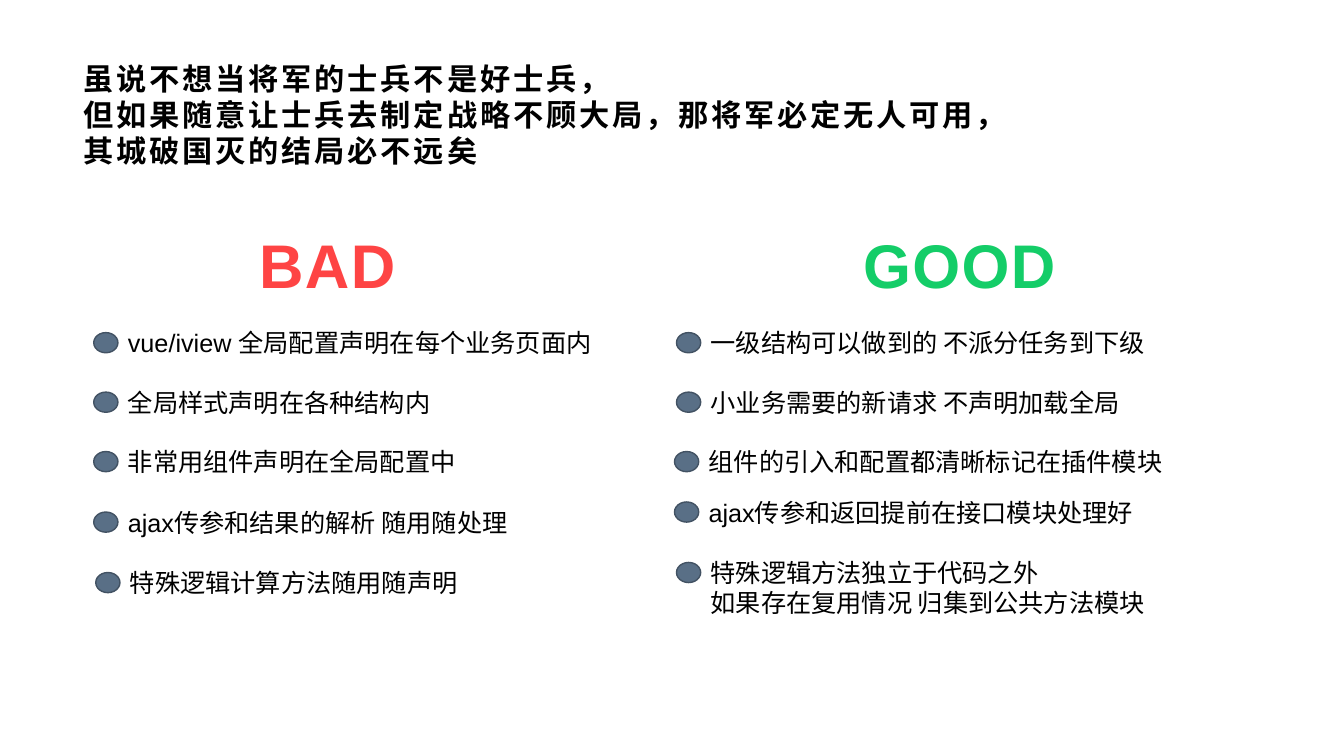
from dataclasses import dataclass

from pptx import Presentation
from pptx import util as u
from pptx.dml.color import RGBColor
from pptx.enum import shapes, text

PX = 9144  # EMU per px, at 100 px to the inch


@dataclass(frozen=True)
class Theme:
    font: str = "Arial"
    ink: str = "000000"
    bad: str = "FE4444"
    good: str = "14CD68"
    dot: str = "596F86"
    dot_line: str = "425263"
    title_size: float = 21.6
    heading_size: int = 44
    item_size: int = 18


@dataclass(frozen=True)
class Item:
    left: int
    top: int
    width: int
    lines: tuple[str, ...]


@dataclass(frozen=True)
class Column:
    heading: str
    color: str
    left: int
    width: int
    items: tuple[Item, ...]


THEME = Theme()
DOT_W, DOT_H, DOT_DROP = 24, 20, 10
HEADING_TOP, HEADING_H = 213, 97
LINE_H, ITEM_PAD = 31, 9

TITLE = ("虽说不想当将军的士兵不是好士兵，\v"
         "但如果随意让士兵去制定战略不顾大局，那将军必定无人可用，\v"
         "其城破国灭的结局必不远矣")

COLUMNS = (
    Column("BAD", THEME.bad, 252, 152, (
        Item(117, 320, 485, ("vue/iview 全局配置声明在每个业务页面内",)),
        Item(117, 379, 485, ("全局样式声明在各种结构内",)),
        Item(117, 438, 485, ("非常用组件声明在全局配置中",)),
        Item(117, 498, 506, ("ajax传参和结果的解析 随用随处理",)),
        Item(119, 558, 506, ("特殊逻辑计算方法随用随声明",)),
    )),
    Column("GOOD", THEME.good, 851, 203, (
        Item(695, 320, 572, ("一级结构可以做到的 不派分任务到下级",)),
        Item(695, 379, 506, ("小业务需要的新请求 不声明加载全局",)),
        Item(693, 438, 506, ("组件的引入和配置都清晰标记在插件模块",)),
        Item(693, 488, 506, ("ajax传参和返回提前在接口模块处理好",)),
        Item(695, 548, 506, ("特殊逻辑方法独立于代码之外",
                             "如果存在复用情况 归集到公共方法模块")),
    )),
)


def box(left: int, top: int, width: int, height: int) -> tuple[u.Emu, ...]:
    return tuple(u.Emu(v * PX) for v in (left, top, width, height))


def set_all(target, values: dict) -> None:
    for name, value in values.items():
        setattr(target, name, value)


def style_runs(tf, size: float, color: str, bold: bool = False, spacing: int = 0) -> None:
    """Format every run; spacing is in hundredths of a point."""
    for p in tf.paragraphs:
        for r in p.runs:
            set_all(r.font, {"name": THEME.font, "size": u.Pt(size), "bold": bold})
            r.font.color.rgb = RGBColor.from_string(color)
            if spacing:
                r.font._element.set("spc", str(spacing))


def add_title(s) -> None:
    sp = s.shapes.title
    set_all(sp, dict(zip(("left", "top", "width", "height"), box(73, 47, 1187, 133))))
    tf = sp.text_frame
    tf.text = TITLE
    set_all(tf, {"word_wrap": True, "auto_size": text.MSO_AUTO_SIZE.NONE,
                 "vertical_anchor": text.MSO_ANCHOR.MIDDLE})
    set_all(tf.paragraphs[0], {"alignment": text.PP_ALIGN.LEFT, "line_spacing": 1.0})
    style_runs(tf, THEME.title_size, THEME.ink, bold=True, spacing=200)


def add_heading(s, column: Column) -> None:
    sp = s.shapes.add_textbox(*box(column.left, HEADING_TOP, column.width, HEADING_H))
    tf = sp.text_frame
    tf.text = column.heading
    margin = u.Emu(5 * PX)
    set_all(tf, {"word_wrap": True, "margin_left": margin, "margin_right": margin,
                 "margin_top": margin, "margin_bottom": margin})
    tf.paragraphs[0].line_spacing = 1.1
    style_runs(tf, THEME.heading_size, column.color, bold=True, spacing=100)


def add_item(s, item: Item) -> None:
    """Draw a dot and, to its right, the text of the item."""
    dot = s.shapes.add_shape(shapes.MSO_SHAPE.OVAL, *box(
        item.left - DOT_W, item.top + DOT_DROP, DOT_W, DOT_H))
    dot.shadow.inherit = False
    dot.fill.solid()
    dot.fill.fore_color.rgb = RGBColor.from_string(THEME.dot)
    dot.line.color.rgb = RGBColor.from_string(THEME.dot_line)
    dot.line.width = u.Pt(1)

    height = ITEM_PAD + LINE_H * len(item.lines)
    tf = s.shapes.add_textbox(*box(item.left, item.top, item.width, height)).text_frame
    tf.text = "\n".join(item.lines)
    set_all(tf, {"word_wrap": True, "auto_size": text.MSO_AUTO_SIZE.SHAPE_TO_FIT_TEXT})
    style_runs(tf, THEME.item_size, THEME.ink)


def main() -> None:
    prs = Presentation()
    set_all(prs, {"slide_width": u.Emu(1333 * PX), "slide_height": u.Emu(750 * PX)})
    s = prs.slides.add_slide(prs.slide_layouts.get_by_name("Title Only"))
    add_title(s)
    for column in COLUMNS:
        add_heading(s, column)
        for item in column.items:
            add_item(s, item)
    prs.save("out.pptx")


if __name__ == "__main__":
    main()
